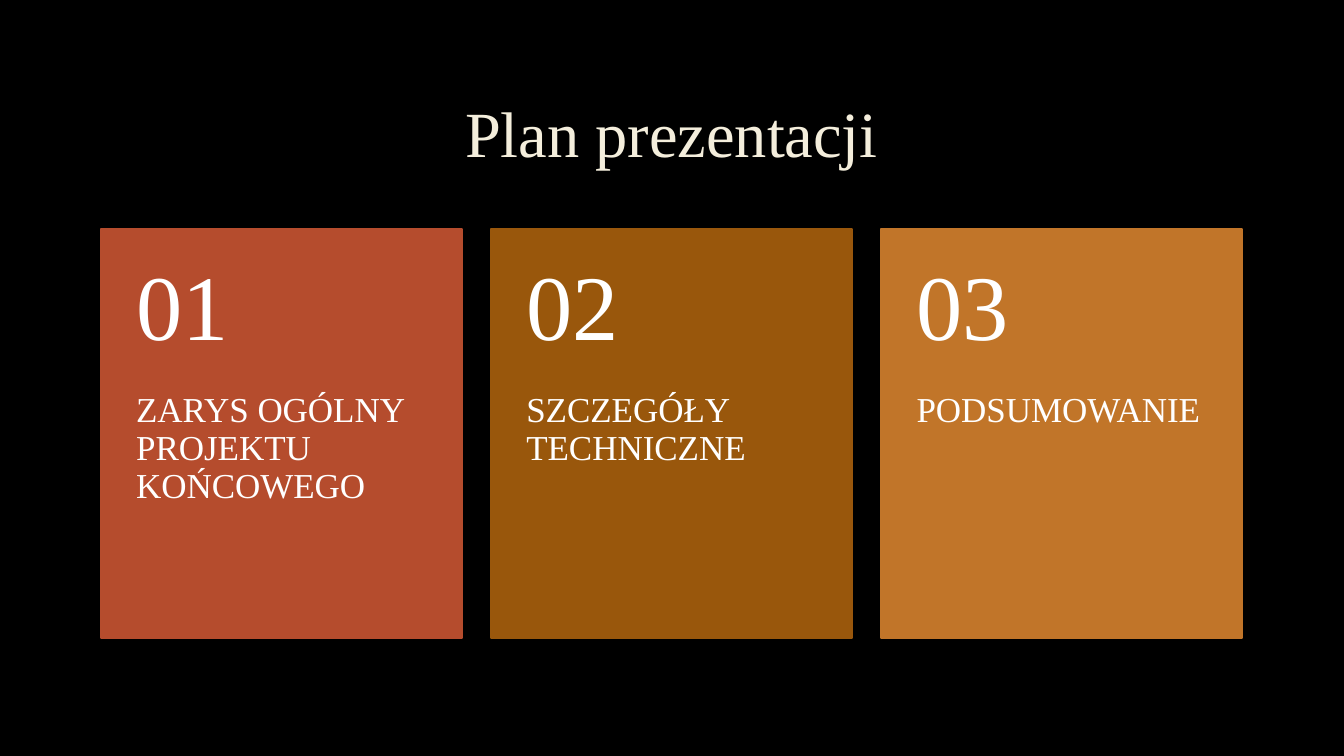
"""Build the agenda slide: a title above three numbered cards."""
from pptx import Presentation
from pptx.dml.color import RGBColor
from pptx.enum.shapes import MSO_SHAPE
from pptx.enum.text import MSO_ANCHOR, PP_ALIGN
from pptx.util import Inches, Pt

RECTANGLE = MSO_SHAPE.RECTANGLE
TOP, MIDDLE = MSO_ANCHOR.TOP, MSO_ANCHOR.MIDDLE
LEFT, CENTER = PP_ALIGN.LEFT, PP_ALIGN.CENTER

BLACK = RGBColor(0x00, 0x00, 0x00)
WHITE = RGBColor(0xFF, 0xFF, 0xFF)
CREAM = RGBColor(0xF4, 0xEE, 0xDC)
RED = RGBColor(0xB5, 0x4C, 0x2D)
BROWN = RGBColor(0x99, 0x57, 0x0C)
OCHRE = RGBColor(0xC1, 0x75, 0x29)
FONT = "Times New Roman"

TITLE = "Plan prezentacji"
SECTIONS = [
    ("ZARYS OGÓLNY PROJEKTU KOŃCOWEGO", RED),
    ("SZCZEGÓŁY TECHNICZNE", BROWN),
    ("PODSUMOWANIE", OCHRE),
]

SLIDE_WIDTH, SLIDE_HEIGHT = 13.33, 7.5
MARGIN, CONTENT_WIDTH = 1, 11.32
TITLE_TOP, TITLE_HEIGHT = 0.67, 1.38
CARD_TOP, CARD_WIDTH, CARD_HEIGHT = 2.27, 3.58, 4.06
CARD_STEP = (CONTENT_WIDTH - CARD_WIDTH) / (len(SECTIONS) - 1)
NUMBER_HEIGHT = CARD_HEIGHT * 0.4
LABEL_HEIGHT = CARD_HEIGHT - NUMBER_HEIGHT
LABEL_INSETS = (0.35, 0, 0.35, 0.36)
NUMBER_INSETS = (0.35, 0.18, 0.35, 0.18)


def write(holder, text, *, size, color=WHITE, align=LEFT, anchor=TOP,
          insets=(0.1, 0.05, 0.1, 0.05)):
    """Put formatted text into a text box or placeholder."""
    frame = holder.text_frame
    frame.word_wrap = True
    frame.vertical_anchor = anchor
    (frame.margin_left, frame.margin_top,
     frame.margin_right, frame.margin_bottom) = map(Inches, insets)
    paragraph = frame.paragraphs[0]
    paragraph.alignment = align
    paragraph.line_spacing = 0.9
    run = paragraph.add_run()
    run.text = text
    run.font.name = FONT
    run.font.size = Pt(size)
    run.font.color.rgb = color


def add_card(slide, index, label, color):
    """Draw one coloured card with its number and label."""
    left = Inches(MARGIN + index * CARD_STEP)
    top, width = Inches(CARD_TOP), Inches(CARD_WIDTH)
    card = slide.shapes.add_shape(RECTANGLE, left, top, width, Inches(CARD_HEIGHT))
    card.shadow.inherit = False
    card.fill.solid()
    card.fill.fore_color.rgb = color
    card.line.color.rgb = color
    card.line.width = Pt(1.25)

    label_box = slide.shapes.add_textbox(
        left, Inches(CARD_TOP + NUMBER_HEIGHT), width, Inches(LABEL_HEIGHT))
    write(label_box, label, size=25, insets=LABEL_INSETS)
    number_box = slide.shapes.add_textbox(left, top, width, Inches(NUMBER_HEIGHT))
    write(number_box, f"{index + 1:02}", size=66, anchor=MIDDLE, insets=NUMBER_INSETS)


def main():
    """Assemble and save the presentation."""
    deck = Presentation()
    deck.slide_width, deck.slide_height = Inches(SLIDE_WIDTH), Inches(SLIDE_HEIGHT)
    slide = deck.slides.add_slide(deck.slide_layouts.get_by_name("Title Only"))
    slide.background.fill.solid()
    slide.background.fill.fore_color.rgb = BLACK

    title = slide.shapes.title
    title.left, title.top = Inches(MARGIN), Inches(TITLE_TOP)
    title.width, title.height = Inches(CONTENT_WIDTH), Inches(TITLE_HEIGHT)
    write(title, TITLE, size=46, color=CREAM, align=CENTER, anchor=MIDDLE)

    for index, (label, color) in enumerate(SECTIONS):
        add_card(slide, index, label, color)
    deck.save("out.pptx")


if __name__ == "__main__":
    main()
